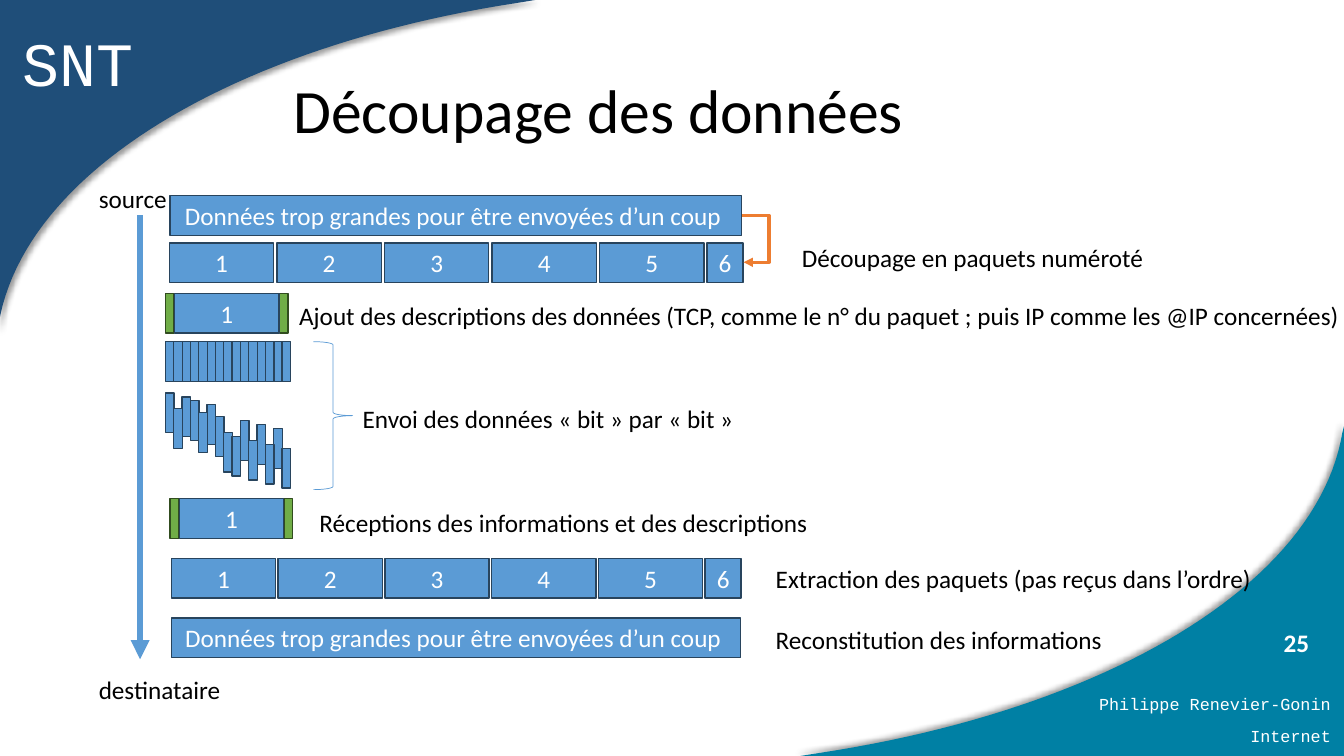
from lxml import etree
from pptx import Presentation
from pptx.dml.color import RGBColor
from pptx.enum.shapes import MSO_CONNECTOR, MSO_SHAPE
from pptx.enum.text import MSO_ANCHOR, PP_ALIGN
from pptx.oxml.ns import qn
from pptx.util import Cm, Pt

RECT, BRACE = MSO_SHAPE.RECTANGLE, MSO_SHAPE.RIGHT_BRACE
STRAIGHT, ELBOW = MSO_CONNECTOR.STRAIGHT, MSO_CONNECTOR.ELBOW
LEFT, CENTER, RIGHT = PP_ALIGN.LEFT, PP_ALIGN.CENTER, PP_ALIGN.RIGHT
MIDDLE = MSO_ANCHOR.MIDDLE

BLUE, BLUE_EDGE = "5B9BD5", "28445D"
GREEN, GREEN_EDGE = "70AD47", "314C1F"
NAVY, TEAL, ORANGE = "1F4E79", "0080A4", "ED7D31"
WHITE, BLACK = "FFFFFF", "000000"
SANS, MONO = "Calibri", "Courier New"

BLOCK_H, PACKET_W, LAST_W = 1.0, 2.63, 0.91
BIT_W, BIT_PITCH, BIT_DROP = 0.22, 0.21, 0.1
BIT_ORDER = (0, 2, 3, 5, 1, 4, 6, 9, 11, 13, 7, 8, 10, 12, 14)
WHOLE_DATA = "Données trop grandes pour être envoyées d’un coup "

LABELS = (
    (2.24, 4.5, 2.24, "source"),
    (2.24, 16.87, 3.61, "destinataire"),
    (19.96, 5.99, 9.55, "Découpage en paquets numéroté"),
    (7.29, 7.44, 26.8, "Ajout des descriptions des données (TCP, comme le n° du paquet ; "
                       "puis IP comme les @IP concernées)"),
    (8.89, 10.03, 9.98, "Envoi des données « bit » par « bit »"),
    (7.8, 12.65, 12.95, "Réceptions des informations et des descriptions"),
    (19.3, 14.07, 12.62, "Extraction des paquets (pas reçus dans l’ordre)"),
    (19.3, 15.6, 9.09, "Reconstitution des informations"),
)


def rgb(value):
    return RGBColor.from_string(value)


def write(tf, text, color, size=18, font=SANS, align=LEFT, bold=False):
    p = tf.paragraphs[0]
    p.alignment = align
    r = p.add_run()
    r.text = text
    r.font.name, r.font.size, r.font.bold = font, Pt(size), bold
    r.font.color.rgb = rgb(color)
    return p


def add_label(s, x, y, w, text, color=BLACK, h=1.02, wrap=False, **style):
    tf = s.shapes.add_textbox(Cm(x), Cm(y), Cm(w), Cm(h)).text_frame
    tf.word_wrap = wrap
    write(tf, text, color, **style)


def add_block(s, x, y, w, text="", fill=BLUE, edge=BLUE_EDGE):
    sp = s.shapes.add_shape(RECT, Cm(x), Cm(y), Cm(w), Cm(BLOCK_H))
    sp.shadow.inherit = False
    sp.fill.solid()
    sp.fill.fore_color.rgb = rgb(fill)
    sp.line.color.rgb = rgb(edge)
    sp.line.width = Pt(1)
    if text:
        sp.text_frame.vertical_anchor = MIDDLE
        write(sp.text_frame, text, WHITE, align=CENTER)


def add_packet_row(s, x, y, pitch):
    for i in range(6):
        add_block(s, x + i * pitch, y, LAST_W if i == 5 else PACKET_W, str(i + 1))


def add_framed_packet(s, x, y):
    for offset in (0, 2.87):
        add_block(s, x + offset, y, BIT_W, fill=GREEN, edge=GREEN_EDGE)
    add_block(s, x + 0.23, y, PACKET_W, "1")


def add_bits(s, x, y, drop):
    for i, column in enumerate(BIT_ORDER):
        add_block(s, x + column * BIT_PITCH, y + i * drop, BIT_W)


def add_brace(s, x, y, w, h):
    sp = s.shapes.add_shape(BRACE, Cm(x), Cm(y), Cm(w), Cm(h))
    sp.shadow.inherit = False
    sp.fill.background()
    sp.line.color.rgb = rgb(BLUE)
    sp.line.width = Pt(0.5)


def add_arrow(s, kind, x1, y1, x2, y2, color, width, bend=None):
    c = s.shapes.add_connector(kind, Cm(x1), Cm(y1), Cm(x2), Cm(y2))
    c.line.color.rgb = rgb(color)
    c.line.width = Pt(width)
    etree.SubElement(c.line._get_or_add_ln(), qn("a:tailEnd"), type="triangle")
    sp_pr = c._element.spPr
    etree.SubElement(sp_pr, qn("a:effectLst"))
    if bend is not None:
        guides = sp_pr.find(qn("a:prstGeom")).find(qn("a:avLst"))
        etree.SubElement(guides, qn("a:gd"), name="adj1", fmla=f"val {round(bend * 100000)}")


def bezier(p0, p1, p2, p3, steps=48):
    for i in range(1, steps + 1):
        t = i / steps
        u = 1 - t
        yield tuple(u**3 * a + 3 * u * u * t * b + 3 * u * t * t * c + t**3 * d
                    for a, b, c, d in zip(p0, p1, p2, p3))


def add_corner(s, corner, start, curve, end, color, angle):
    points = [start, curve[0], *bezier(*curve), end]
    fb = s.shapes.build_freeform(Cm(corner[0]), Cm(corner[1]))
    fb.add_line_segments([(Cm(x), Cm(y)) for x, y in points])
    sp = fb.convert_to_shape()
    sp.fill.solid()
    sp.fill.fore_color.rgb = rgb(color)
    sp.line.fill.background()
    effects = etree.SubElement(sp._element.spPr, qn("a:effectLst"))
    shadow = etree.SubElement(effects, qn("a:outerShdw"), blurRad=str(Pt(4)),
                              dist=str(Pt(3)), dir=str(angle * 60000), rotWithShape="0")
    tint = etree.SubElement(shadow, qn("a:srgbClr"), val=BLACK)
    etree.SubElement(tint, qn("a:alpha"), val="40000")


def add_frame(s):
    add_corner(s, (33.87, 19.05), (20.17, 19.05),
               ((20.68, 18.97), (27.86, 17.88), (33.2, 14.73), (33.83, 10.9)),
               (33.87, 10.74), TEAL, 225)
    add_corner(s, (-0.05, 0), (13.49, 0),
               ((13, 0.08), (5.89, 1.17), (0.61, 4.32), (-0.03, 8.15)),
               (-0.05, 8.31), NAVY, 45)
    add_label(s, 0.33, 0.51, 3.33, "SNT", WHITE, h=2.13, size=44, font=MONO)
    for y, text in ((17.35, "Philippe Renevier-Gonin"), (18.16, "Internet")):
        add_label(s, 22.66, y, 11.13, text, WHITE, h=0.76, wrap=True,
                  size=12, font=MONO, align=RIGHT)
    add_label(s, 32.1, 15.69, 1.5, "25", WHITE, bold=True)


def set_title(s, text):
    title = s.shapes.title
    title.left, title.top, title.width, title.height = Cm(7.14), Cm(1.02), Cm(24.41), Cm(3.68)
    title.text_frame.vertical_anchor = MIDDLE
    write(title.text_frame, text, BLACK, size=44).line_spacing = 0.9


def main():
    prs = Presentation()
    prs.slide_width, prs.slide_height = Cm(33.87), Cm(19.05)
    s = prs.slides.add_slide(prs.slide_layouts[5])
    add_frame(s)
    set_title(s, "Découpage des données")
    add_block(s, 4.29, 4.93, 14.4, WHOLE_DATA)
    add_packet_row(s, 4.27, 6.12, 2.71)
    add_framed_packet(s, 4.17, 7.39)
    add_bits(s, 4.17, 8.61, 0)
    add_bits(s, 4.17, 9.9, BIT_DROP)
    add_brace(s, 7.9, 8.61, 0.99, 3.73)
    add_framed_packet(s, 4.29, 12.57)
    add_packet_row(s, 4.32, 14.07, 2.69)
    add_block(s, 4.32, 15.57, 14.35, WHOLE_DATA)
    add_arrow(s, ELBOW, 18.7, 5.43, 18.74, 6.61, ORANGE, 2.25, bend=17)
    add_arrow(s, STRAIGHT, 3.53, 5.43, 3.53, 16.61, BLUE, 4.5)
    for x, y, w, text in LABELS:
        add_label(s, x, y, w, text)
    prs.save("out.pptx")


if __name__ == "__main__":
    main()
